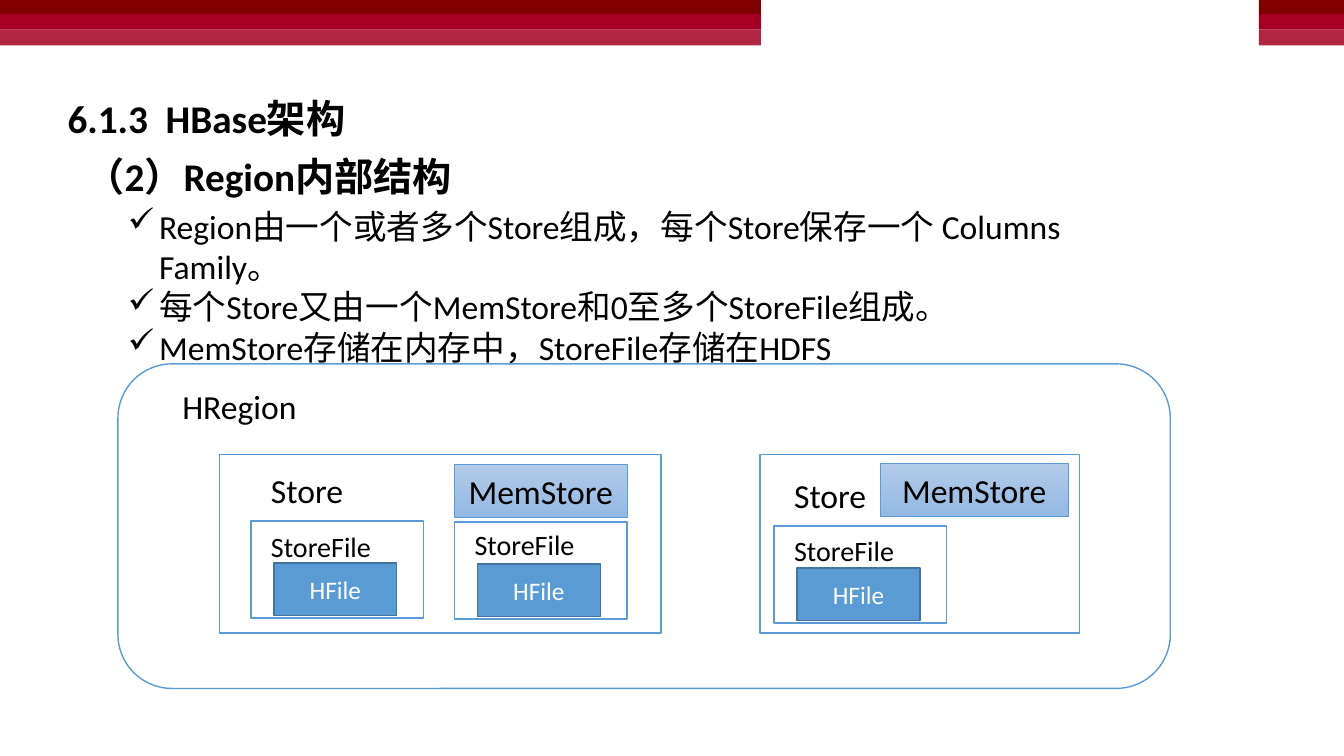
from dataclasses import dataclass

from lxml.etree import SubElement
from pptx import Presentation
from pptx.dml.color import RGBColor
from pptx.enum.shapes import MSO_SHAPE
from pptx.enum.text import MSO_ANCHOR, MSO_AUTO_SIZE, PP_ALIGN
from pptx.oxml.ns import qn
from pptx.util import Inches, Pt


@dataclass(frozen=True)
class Theme:
    """Colours, type sizes and font of the slide."""
    font: str = "Calibri"
    black: str = "000000"
    white: str = "FFFFFF"
    blue: str = "5B9BD5"
    dark_blue: str = "43739E"
    memory: tuple = ("B1CBE9", "93B9E4")
    bands: tuple = ("800000", "A50021", "B22642")
    heading: int = 28
    body: int = 24
    small: int = 20
    tiny: int = 18


THEME = Theme()
SLIDE_WIDTH, SLIDE_HEIGHT = Inches(13.33), Inches(7.5)
COLUMNS, ROWS = 40, 30
BAND_HEIGHTS = (0.56, 0.62, 0.62)
FILE_SIZE = (5.13, 3.84)
HFILE_SIZE = (3.66, 2.08)
BULLETS = (
    "Region由一个或者多个Store组成，每个Store保存一个 Columns Family。",
    "每个Store又由一个MemStore和0至多个StoreFile组成。",
    "MemStore存储在内存中，StoreFile存储在HDFS",
)


def grid(left, top, width, height):
    """Turn grid columns and rows into slide lengths."""
    column, row = SLIDE_WIDTH / COLUMNS, SLIDE_HEIGHT / ROWS
    return int(left * column), int(top * row), int(width * column), int(height * row)


def write(frame, lines, size, colour=THEME.black, bold=False):
    """Fill a text frame with lines in one style."""
    frame.text = "\n".join(lines)
    frame.word_wrap = True
    for para in frame.paragraphs:
        for span in para.runs:
            span.font.name = THEME.font
            span.font.size = Pt(size)
            span.font.bold = bold
            span.font.color.rgb = RGBColor.from_string(colour)


def add_text(page, place, lines, size, bold=False):
    """Add a wrapped text box and return its frame."""
    box = page.shapes.add_textbox(*grid(*place))
    write(box.text_frame, lines, size, bold=bold)
    return box.text_frame


def add_checks(frame):
    """Give each paragraph a hanging check mark."""
    for para in frame.paragraphs:
        properties = para._p.get_or_add_pPr()
        properties.set("marL", str(Inches(0.31)))
        properties.set("indent", str(-Inches(0.31)))
        SubElement(properties, qn("a:buChar")).set("char", "✓")


def add_box(page, place, fill=THEME.white, line=None, weight=1, kind=MSO_SHAPE.RECTANGLE):
    """Add a flat shape with an optional outline."""
    box = page.shapes.add_shape(kind, *grid(*place))
    box.shadow.inherit = False
    box.fill.solid()
    box.fill.fore_color.rgb = RGBColor.from_string(fill)
    if line:
        box.line.color.rgb = RGBColor.from_string(line)
        box.line.width = Pt(weight)
    else:
        box.line.fill.background()
    return box


def add_caption(box, text, size, colour):
    """Centre a caption inside a shape."""
    write(box.text_frame, [text], size, colour)
    box.text_frame.vertical_anchor = MSO_ANCHOR.MIDDLE
    box.text_frame.paragraphs[0].alignment = PP_ALIGN.CENTER


def add_bands(page, left, width):
    """Stack the red bands at the top edge."""
    for index, colour in enumerate(THEME.bands):
        add_box(page, (left, sum(BAND_HEIGHTS[:index]), width, BAND_HEIGHTS[index]), colour)


def add_memstore(page, left, top, width):
    """Add a shaded MemStore block."""
    box = add_box(page, (left, top, width, 2.08), line=THEME.blue, weight=0.5)
    box.fill.gradient()
    box.fill.gradient_angle = 270
    for stop, colour in zip(box.fill.gradient_stops, THEME.memory):
        stop.color.rgb = RGBColor.from_string(colour)
    add_caption(box, "MemStore", THEME.body, THEME.black)


def add_storefile(page, left, top, label_drop):
    """Add a StoreFile frame holding its HFile."""
    add_box(page, (left, top, *FILE_SIZE), line=THEME.blue)
    hfile = add_box(page, (left + 0.68, top + 1.66, *HFILE_SIZE), THEME.blue, THEME.dark_blue)
    add_caption(hfile, "HFile", THEME.tiny, THEME.white)
    add_text(page, (left + 0.3, top + label_drop, 3.66, 1.76), ["StoreFile"], THEME.small)


def add_store(page, left, width, label, memstore, files):
    """Add a Store with its label, files and MemStore."""
    add_box(page, (left, 18.04, width, 7.08), line=THEME.blue)
    add_text(page, (*label, 3.66, 2), ["Store"], THEME.body)
    for file in files:
        add_storefile(page, *file)
    add_memstore(page, *memstore)


def add_title(page, place, text):
    """Place and format the title placeholder."""
    title = page.shapes.title
    title.left, title.top, title.width, title.height = grid(*place)
    write(title.text_frame, [text], THEME.heading, bold=True)
    title.text_frame.auto_size = MSO_AUTO_SIZE.NONE
    title.text_frame.vertical_anchor = MSO_ANCHOR.TOP
    title.text_frame.paragraphs[0].alignment = PP_ALIGN.LEFT


def main():
    """Build the HBase Region slide."""
    deck = Presentation()
    deck.slide_width, deck.slide_height = SLIDE_WIDTH, SLIDE_HEIGHT
    page = deck.slides.add_slide(deck.slide_layouts[5])
    add_bands(page, 0, 22.65)
    add_bands(page, 37.47, 2.53)
    add_title(page, (1.71, 3.56, 18.69, 2.28), "6.1.3  HBase架构")
    add_text(page, (2.25, 5.84, 25.44, 2.28), ["（2）Region内部结构"], THEME.heading, bold=True)
    add_checks(add_text(page, (3.51, 7.96, 31.89, 5.24), BULLETS, THEME.body))
    add_box(page, (3.51, 14.44, 31.32, 12.88), line=THEME.blue, kind=MSO_SHAPE.ROUNDED_RECTANGLE)
    add_text(page, (5.13, 15.12, 7.47, 2), ["HRegion"], THEME.body)
    add_store(page, 6.54, 13.14, (7.77, 18.44), (13.53, 18.44, 5.13),
              [(7.47, 20.68, 0.12), (13.53, 20.72, 0)])
    add_store(page, 22.62, 9.51, (23.34, 18.64), (26.19, 18.4, 5.61),
              [(23.04, 20.88, 0.08)])
    deck.save("out.pptx")


if __name__ == "__main__":
    main()
